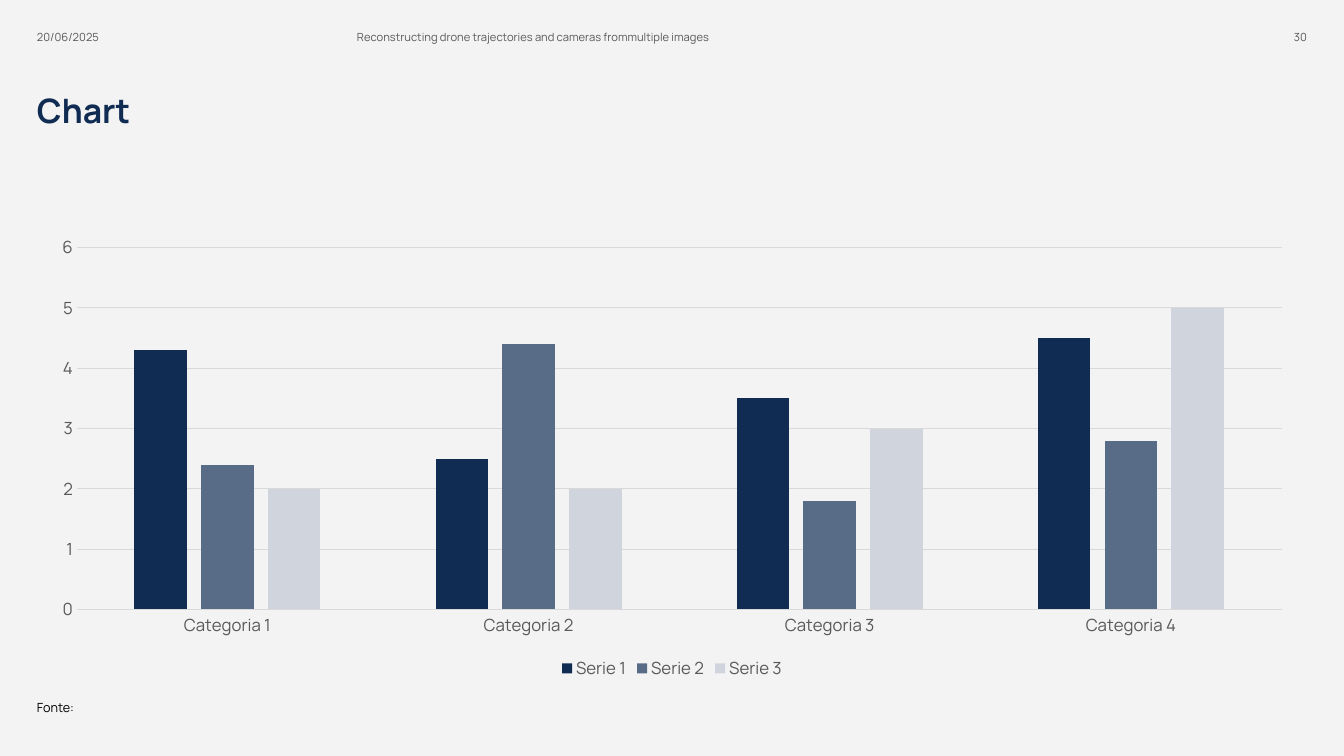
from pptx import Presentation
from pptx import util as u
from pptx.chart.data import CategoryChartData
from pptx.dml.color import RGBColor
from pptx.enum import chart as ch, text

PX = 12192000 / 1344  # EMU per px
FONT, NAVY, GREY, RULE = "Manrope", "102C53", "595959", "D9D9D9"
LEFT, WIDTH = 37, 1270


def px(*lengths):
    return [round(n * PX) for n in lengths]


def rgb(value):
    return RGBColor.from_string(value)


def set_font(font, size, color, bold=False):
    font.name, font.size, font.bold = FONT, u.Pt(size), bold
    font.color.rgb = rgb(color)


def write(sp, box, content, size=8, color=GREY, bold=False,
          align=text.PP_ALIGN.LEFT, anchor=text.MSO_ANCHOR.BOTTOM, spacing=1.0):
    sp.left, sp.top, sp.width, sp.height = px(*box)
    tf = sp.text_frame
    tf.word_wrap, tf.auto_size = True, text.MSO_AUTO_SIZE.NONE
    tf.vertical_anchor = anchor
    tf.margin_left = tf.margin_top = tf.margin_right = tf.margin_bottom = 0
    p = tf.paragraphs[0]
    p.alignment, p.line_spacing, p.space_before = align, spacing, 0
    r = p.add_run()
    r.text = content
    set_font(r.font, size, color, bold)


prs = Presentation()
prs.slide_width, prs.slide_height = px(1344, 756)
s = prs.slides.add_slide(prs.slide_layouts[5])
s.background.fill.solid()
s.background.fill.fore_color.rgb = rgb("F3F3F3")

# Title
write(s.shapes.title, (LEFT, 90, WIDTH, 93), "Chart", size=24, color=NAVY,
      bold=True, anchor=text.MSO_ANCHOR.TOP)

# Chart data
data = CategoryChartData()
data.categories = [f"Categoria {n}" for n in range(1, 5)]
series = [
    ("Serie 1", (4.3, 2.5, 3.5, 4.5), NAVY),
    ("Serie 2", (2.4, 4.4, 1.8, 2.8), "596C87"),
    ("Serie 3", (2, 2, 3, 5), "D0D5DD"),
]
for name, values, _ in series:
    data.add_series(name, values)
chart = s.shapes.add_chart(ch.XL_CHART_TYPE.COLUMN_CLUSTERED,
                           *px(LEFT, 227, WIDTH, 457), data).chart
chart.has_title = False
set_font(chart.font, 10, "000000")

# Columns
plot = chart.plots[0]
plot.gap_width, plot.overlap, plot.vary_by_categories = 219, -27, False
for column, (_, _, color) in zip(plot.series, series):
    column.format.fill.solid()
    column.format.fill.fore_color.rgb = rgb(color)
    column.invert_if_negative = False

# Axes
cat, val = chart.category_axis, chart.value_axis
for axis in (cat, val):
    axis.major_tick_mark = axis.minor_tick_mark = ch.XL_TICK_MARK.NONE
    set_font(axis.tick_labels.font, 12, GREY)
val.minimum_scale, val.maximum_scale, val.major_unit = 0, 6, 1
val.format.line.fill.background()
for line in (cat.format.line, val.major_gridlines.format.line):
    line.color.rgb = rgb(RULE)
    line.width = u.Pt(0.75)

# Legend
chart.has_legend = True
chart.legend.position = ch.XL_LEGEND_POSITION.BOTTOM
chart.legend.include_in_layout = False
set_font(chart.legend.font, 12, GREY)

# Header and source note
for box, content, style in [
    ((LEFT, 4, 263, 40), "20/06/2025", {}),
    ((357, 4, 452, 40),
     "Reconstructing drone trajectories and cameras frommultiple images", {}),
    ((1192, 4, 115, 40), "30", {"align": text.PP_ALIGN.RIGHT}),
    ((LEFT, 684, 577, 31), "Fonte:", {"size": 9, "color": "000000", "spacing": 1.2}),
]:
    write(s.shapes.add_textbox(0, 0, 0, 0), box, content, **style)

prs.save("out.pptx")
